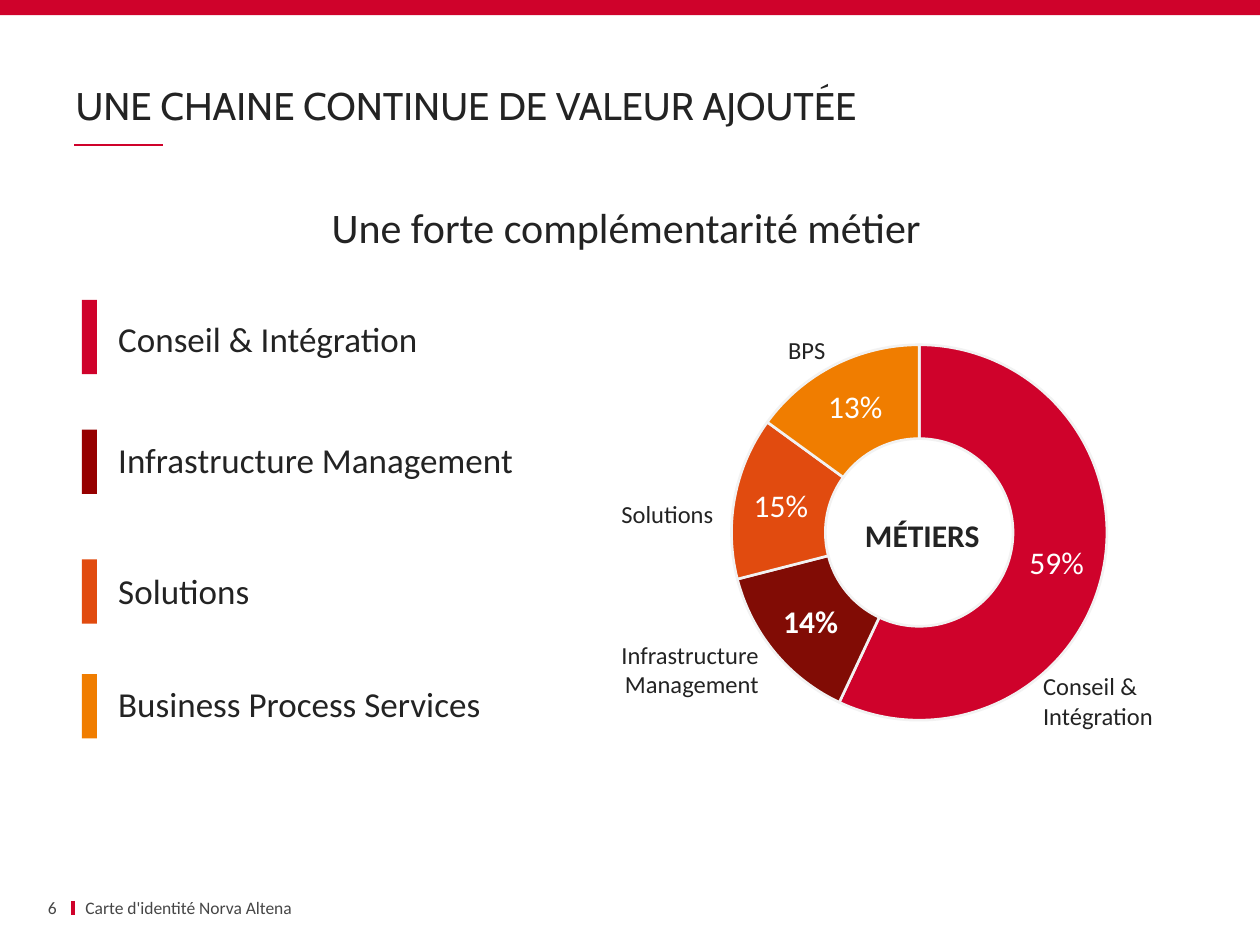
from dataclasses import dataclass

from lxml.etree import SubElement
from pptx import Presentation
from pptx.chart.data import CategoryChartData
from pptx.dml.color import RGBColor
from pptx.enum.chart import XL_CHART_TYPE
from pptx.enum.shapes import MSO_CONNECTOR, MSO_SHAPE
from pptx.enum.text import MSO_ANCHOR, PP_ALIGN
from pptx.oxml import parse_xml
from pptx.oxml.ns import nsdecls, qn
from pptx.util import Inches, Pt


@dataclass(frozen=True)
class Theme:
    text: RGBColor = RGBColor.from_string("232323")
    footer: RGBColor = RGBColor.from_string("464646")
    white: RGBColor = RGBColor.from_string("FFFFFF")
    slice_border: RGBColor = RGBColor.from_string("F2F2F2")
    red: RGBColor = RGBColor.from_string("CF022B")
    dark_red: RGBColor = RGBColor.from_string("960000")
    maroon: RGBColor = RGBColor.from_string("810C05")
    vermilion: RGBColor = RGBColor.from_string("E14B0F")
    orange: RGBColor = RGBColor.from_string("F07D00")
    title_font: str = "Cabin"
    body_font: str = "Calibri"
    title_size: Pt = Pt(22)
    subtitle_size: Pt = Pt(24)
    legend_size: Pt = Pt(20)
    chart_size: Pt = Pt(18)
    label_size: Pt = Pt(14)
    footer_size: Pt = Pt(10)


theme = Theme()
presentation = Presentation()
presentation.slide_width = Inches(10)
presentation.slide_height = Inches(7.5)
slide = presentation.slides.add_slide(presentation.slide_layouts[6])


def add_text(text, box, size, align=PP_ALIGN.LEFT, anchor=MSO_ANCHOR.TOP,
             side_margin=0.1, **font_format):
    """Add a one-paragraph text box; font_format overrides the body font."""
    shape = slide.shapes.add_textbox(*map(Inches, box))
    frame = shape.text_frame
    frame.word_wrap = True
    frame.vertical_anchor = anchor
    frame.margin_left = frame.margin_right = Inches(side_margin)
    paragraph = frame.paragraphs[0]
    paragraph.alignment = align
    run = paragraph.add_run()
    run.text = text
    run.font.color.rgb = font_format.pop("color", theme.text)
    for name, value in {"name": theme.body_font, "size": size, **font_format}.items():
        setattr(run.font, name, value)
    return paragraph


def add_bar(box, color):
    shape = slide.shapes.add_shape(MSO_SHAPE.RECTANGLE, *map(Inches, box))
    shape.shadow.inherit = False
    shape.fill.solid()
    shape.fill.fore_color.rgb = color
    shape.line.fill.background()


# Banner, title rule and footer mark
add_bar((0, 0, 10, 0.12), theme.red)
for ends, width in [((0.59, 1.15, 1.29, 1.15), 1), ((0.58, 7.15, 0.58, 7.26), 2.25)]:
    connector = slide.shapes.add_connector(MSO_CONNECTOR.STRAIGHT, *map(Inches, ends))
    connector.line.color.rgb = theme.red
    connector.line.width = Pt(width)
    SubElement(connector._element.spPr, qn("a:effectLst"))

# Footer and headings
add_text("Carte d'identité Norva Altena", (0.58, 7.11, 4.97, 0.18), theme.footer_size,
         anchor=MSO_ANCHOR.MIDDLE, color=theme.footer)
add_text("6", (0.13, 7.11, 0.32, 0.18), theme.footer_size, PP_ALIGN.RIGHT,
         MSO_ANCHOR.MIDDLE, side_margin=0, color=theme.footer)
title = add_text("UNE CHAINE CONTINUE DE VALEUR AJOUTÉE", (0.6, 0.21, 8.8, 0.86),
                 theme.title_size, anchor=MSO_ANCHOR.BOTTOM, side_margin=0,
                 name=theme.title_font)
title.line_spacing = 0.9
add_text("Une forte complémentarité métier", (0.42, 1.55, 9.1, 0.5),
         theme.subtitle_size, PP_ALIGN.CENTER)

# Legend: text, text top, bar top, bar height, colour
legend = [
    ("Conseil & Intégration", 2.47, 2.38, 0.59, theme.red),
    ("Infrastructure Management", 3.43, 3.41, 0.51, theme.dark_red),
    ("Solutions", 4.47, 4.44, 0.51, theme.vermilion),
    ("Business Process Services", 5.37, 5.35, 0.51, theme.orange),
]
for text, text_top, bar_top, bar_height, color in legend:
    add_text(text, (0.84, text_top, 3.7, 0.44), theme.legend_size)
    add_bar((0.65, bar_top, 0.12, bar_height), color)

# Doughnut chart: value, colour, label that replaces the value
slices = [
    (0.57, theme.red, "59%"),
    (0.14, theme.maroon, None),
    (0.14, theme.vermilion, "15%"),
    (0.15, theme.orange, "13%"),
]
chart_data = CategoryChartData(number_format="0%")
chart_data.categories = [str(number) for number in range(1, len(slices) + 1)]
chart_data.add_series("Series 1", [value for value, _, _ in slices])
chart = slide.shapes.add_chart(
    XL_CHART_TYPE.DOUGHNUT, *map(Inches, (4.65, 1.69, 5.35, 5.13)), chart_data).chart
chart.has_legend = False
chart.has_title = False
chart.font.name = theme.body_font
chart.font.size = theme.chart_size
chart.font.color.rgb = theme.text

plot = chart.plots[0]
plot.vary_by_categories = True
plot._element.find(qn("c:holeSize")).set("val", "50")
series = plot.series[0]
labels = series.data_labels
labels.show_value = True
labels.show_percentage = False
labels.number_format = "0%"
labels.number_format_is_linked = False
labels.font.name = theme.body_font
labels.font.size = theme.chart_size
labels.font.bold = True
labels.font.color.rgb = theme.white

for index, (_, color, label) in enumerate(slices):
    point = series.points[index]
    point.format.fill.solid()
    point.format.fill.fore_color.rgb = color
    point.format.line.color.rgb = theme.slice_border
    point.format.line.width = Pt(1.5)
    if label:
        run = point.data_label.text_frame.paragraphs[0].add_run()
        run.text = label
        run.font.name = theme.body_font
        run.font.size = theme.chart_size
        run.font.bold = False
        run.font.color.rgb = theme.white

# Fixed inner plot area, as fractions of the chart frame
plot_area = chart._chartSpace.chart.plotArea
for layout in plot_area.findall(qn("c:layout")):
    plot_area.remove(layout)
plot_area.insert(0, parse_xml(
    f'<c:layout {nsdecls("c")}><c:manualLayout><c:layoutTarget val="inner"/>'
    '<c:xMode val="edge"/><c:yMode val="edge"/><c:x val="0.216"/><c:y val="0.204"/>'
    '<c:w val="0.557"/><c:h val="0.581"/></c:manualLayout></c:layout>'))

# Names in and around the ring
add_text("MÉTIERS", (6.69, 4.05, 1.26, 0.4), theme.chart_size, PP_ALIGN.CENTER, bold=True)
ring_labels = [
    ("Infrastructure Management", 4.55, 5.03, 0.57, PP_ALIGN.RIGHT),
    ("Solutions", 4.19, 3.91, 0.34, PP_ALIGN.RIGHT),
    ("Conseil & Intégration", 8.18, 5.28, 0.57, PP_ALIGN.LEFT),
    ("BPS", 5.08, 2.61, 0.34, PP_ALIGN.RIGHT),
]
for text, left, top, height, align in ring_labels:
    add_text(text, (left, top, 1.57, height), theme.label_size, align)

presentation.save("out.pptx")
